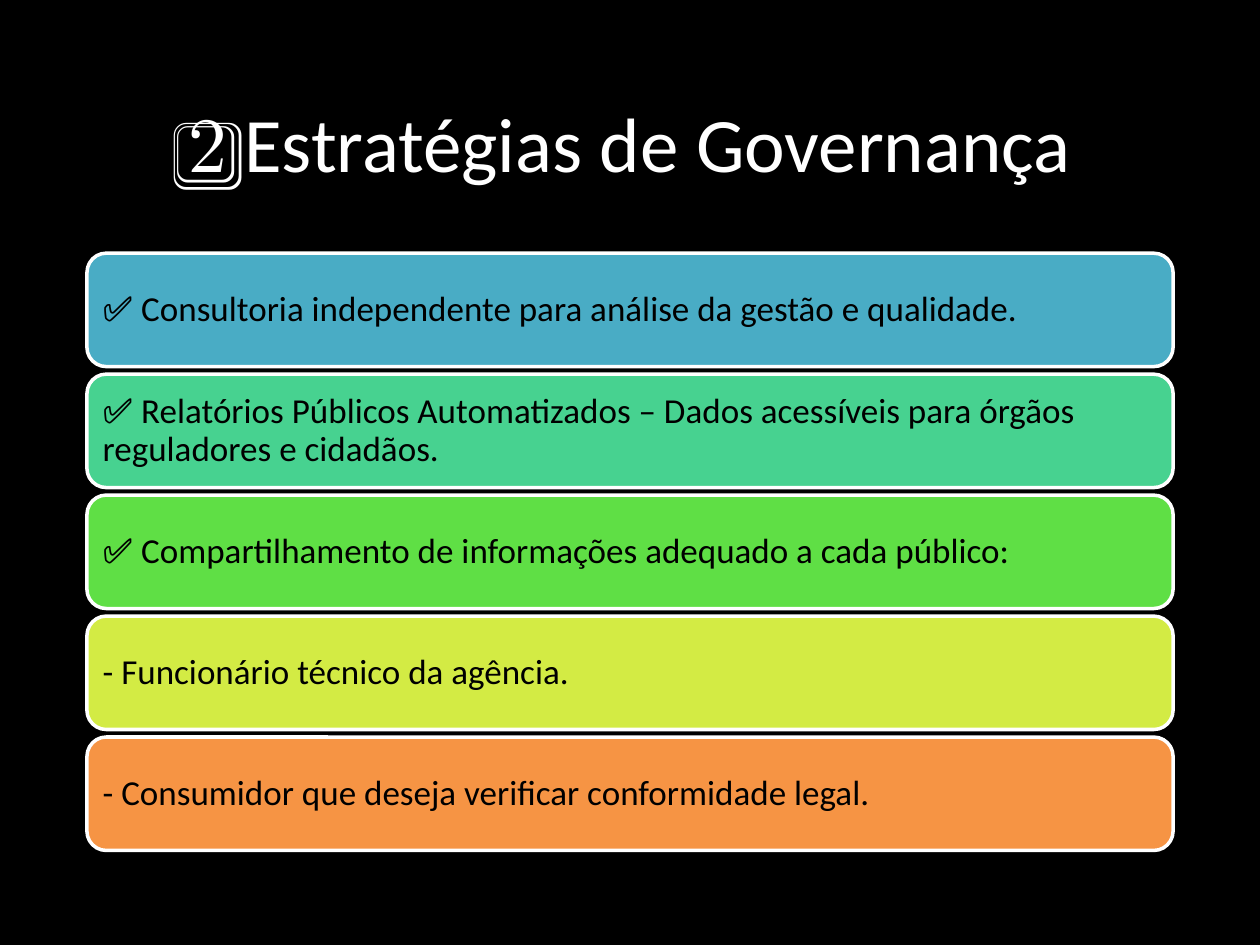
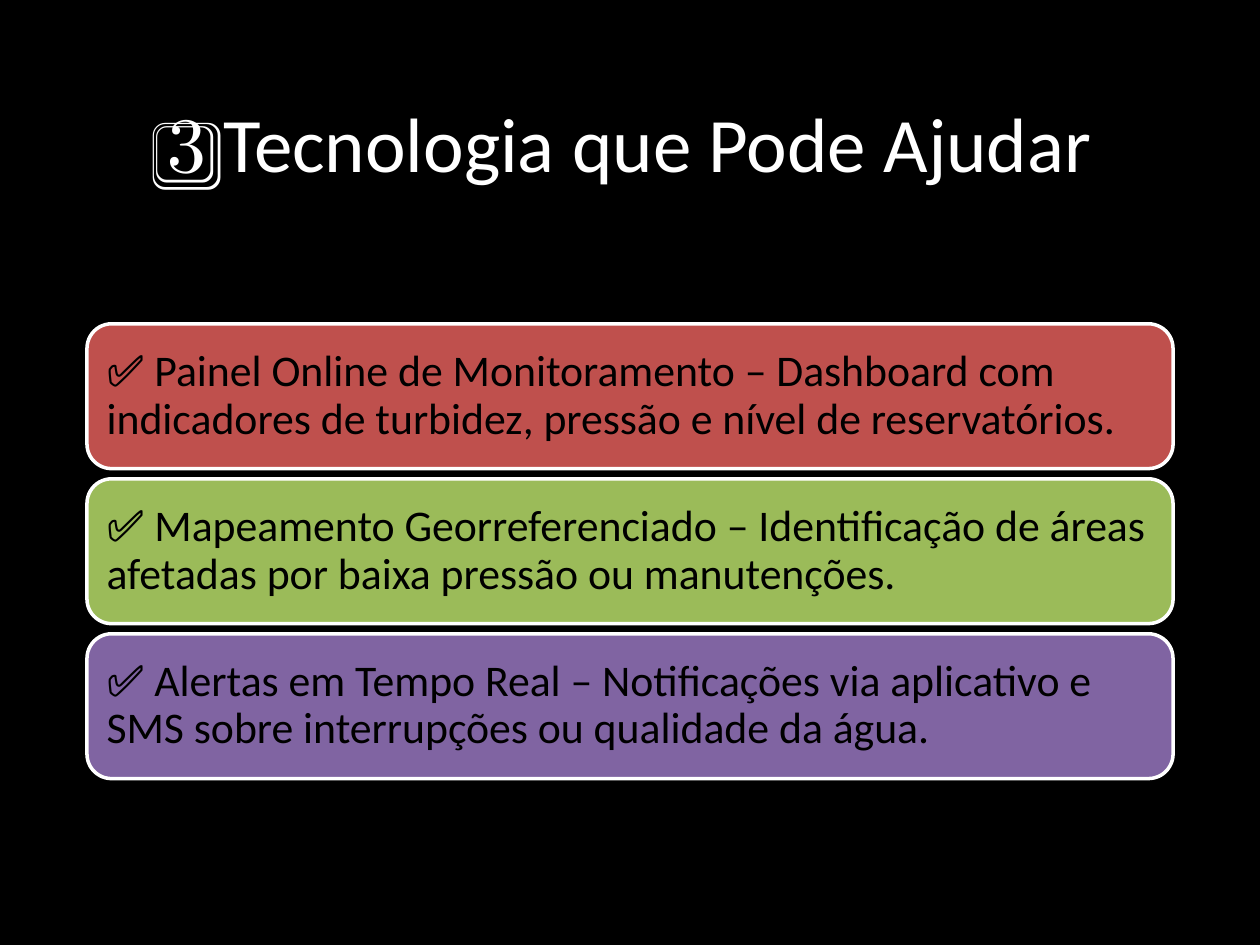
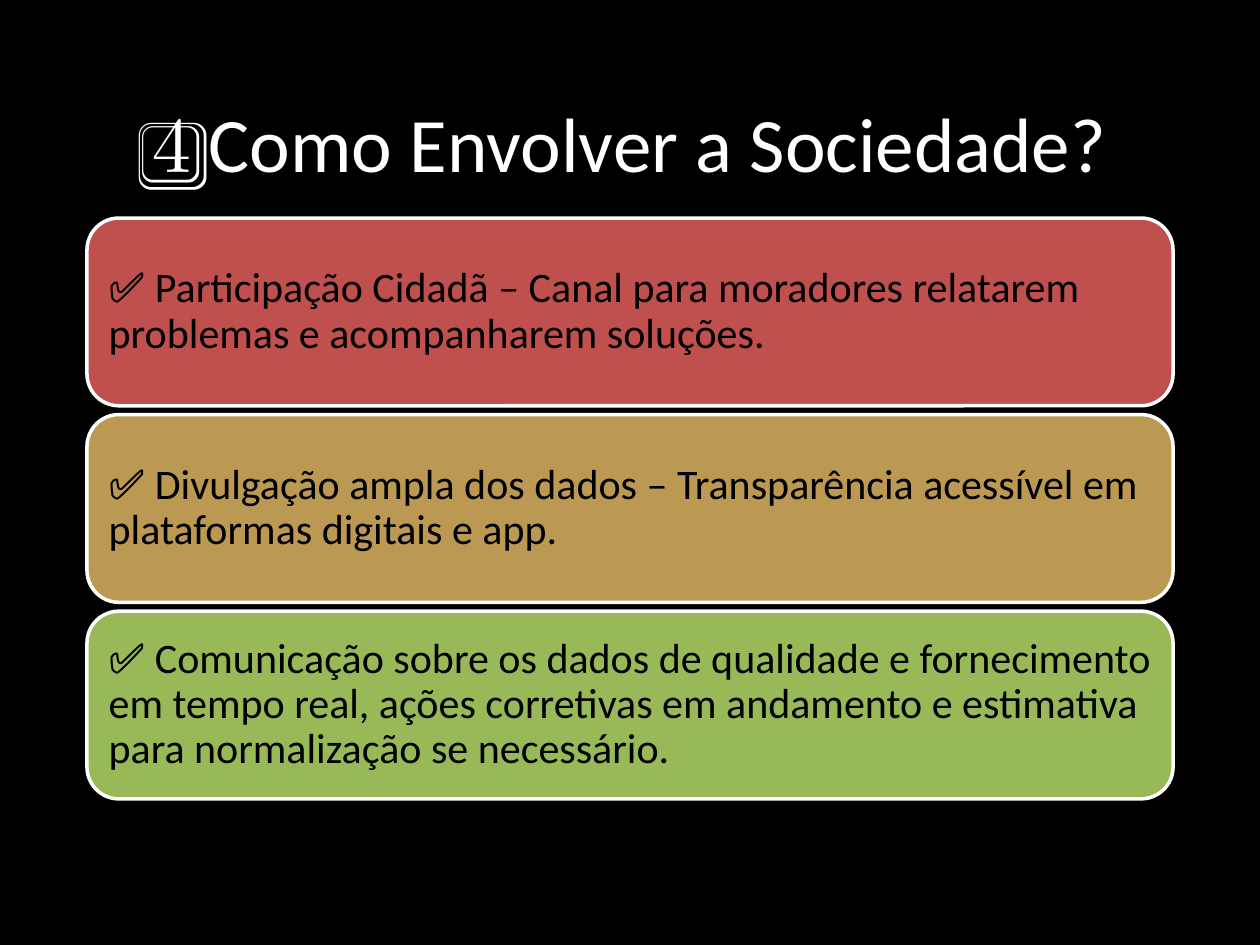
from dataclasses import dataclass

from pptx import Presentation
from pptx.dml.color import RGBColor
from pptx.enum.shapes import MSO_SHAPE
from pptx.enum.text import MSO_ANCHOR, MSO_AUTO_SIZE, PP_ALIGN
from pptx.util import Inches, Pt

WIDTH, HEIGHT = Inches(10), Inches(7.5)
BLACK, WHITE = "000000", "FFFFFF"
RED, GREEN, PURPLE = "BF504D", "9BBB59", "8064A2"
LEFT, SPAN = 6.9, 86.2
TITLE_TOP, TITLE_HEIGHT = 5.33, 19.33
CORNER = 0.17


@dataclass(frozen=True)
class Card:
    """A coloured band holding one statement."""
    text: str
    fill: str


@dataclass(frozen=True)
class Topic:
    """A slide whose stack lengths are percentages of the slide height."""
    title: str
    top: float
    height: float
    gap: float
    size: int
    inset: float
    cards: tuple[Card, ...]


TOPICS = (
    Topic("2️⃣ Estratégias de Governança", 26.8, 12, 0.8, 20, 0.08, (
        Card("✅ Consultoria independente para análise da gestão e qualidade.", "49ACC5"),
        Card("✅ Relatórios Públicos Automatizados – Dados acessíveis para órgãos "
             "reguladores e cidadãos.", "47D290"),
        Card("✅ Compartilhamento de informações adequado a cada público:", "5FDF45"),
        Card("- Funcionário técnico da agência.", "D3EB44"),
        Card("- Consumidor que deseja verificar conformidade legal.", "F69444"),
    )),
    Topic("3️⃣ Tecnologia que Pode Ajudar", 34.27, 15.33, 1.07, 25, 0.1, (
        Card("✅ Painel Online de Monitoramento – Dashboard com indicadores de "
             "turbidez, pressão e nível de reservatórios.", RED),
        Card("✅ Mapeamento Georreferenciado – Identificação de áreas afetadas por "
             "baixa pressão ou manutenções.", GREEN),
        Card("✅ Alertas em Tempo Real – Notificações via aplicativo e SMS sobre "
             "interrupções ou qualidade da água.", PURPLE),
    )),
    Topic("4️⃣ Como Envolver a Sociedade?", 23.07, 19.87, 0.93, 24, 0.1, (
        Card("✅ Participação Cidadã – Canal para moradores relatarem problemas e "
             "acompanharem soluções.", RED),
        Card("✅ Divulgação ampla dos dados – Transparência acessível em plataformas "
             "digitais e app.", "BB9952"),
        Card("✅ Comunicação sobre os dados de qualidade e fornecimento em tempo real, "
             "ações corretivas em andamento e estimativa para normalização se "
             "necessário.", "99B958"),
    )),
)


def paint(target, color: str) -> None:
    """Give a fill a solid colour."""
    target.solid()
    target.fore_color.rgb = RGBColor.from_string(color)


def apply(target, values: dict) -> None:
    """Set several attributes of an object."""
    for name, value in values.items():
        setattr(target, name, value)


def box(top: float, height: float) -> dict:
    """Return the place of a full-width band given in percentages."""
    return {"left": int(WIDTH * LEFT / 100), "top": int(HEIGHT * top / 100),
            "width": int(WIDTH * SPAN / 100), "height": int(HEIGHT * height / 100)}


def write(sp, text: str, size: int, color: str, paragraph: dict, frame: dict) -> None:
    """Write one formatted paragraph into a shape."""
    tf = sp.text_frame
    apply(tf, {"word_wrap": True, "auto_size": MSO_AUTO_SIZE.NONE,
               "vertical_anchor": MSO_ANCHOR.MIDDLE} | frame)
    p = tf.paragraphs[0]
    apply(p, paragraph)
    r = p.add_run()
    r.text = text
    apply(r.font, {"name": "Calibri", "size": Pt(size)})
    paint(r.font.fill, color)


def add_card(s, card: Card, topic: Topic, row: int) -> None:
    """Draw a card in its row of the stack."""
    place = box(topic.top + row * (topic.height + topic.gap), topic.height)
    sp = s.shapes.add_shape(MSO_SHAPE.ROUNDED_RECTANGLE, **place)
    sp.adjustments[0] = CORNER
    sp.shadow.inherit = False
    paint(sp.fill, card.fill)
    paint(sp.line.fill, WHITE)
    sp.line.width = Pt(2)
    margins = {f"margin_{side}": Inches(topic.inset)
               for side in ("left", "top", "right", "bottom")}
    write(sp, card.text, topic.size, BLACK,
          {"alignment": PP_ALIGN.LEFT, "line_spacing": 0.9}, margins)


def add_topic(prs, layout, topic: Topic) -> None:
    """Add a slide with its title and stack of cards."""
    s = prs.slides.add_slide(layout)
    write(s.shapes.title, topic.title, 44, WHITE, {"alignment": PP_ALIGN.CENTER}, {})
    for row, card in enumerate(topic.cards):
        add_card(s, card, topic, row)


def main() -> None:
    """Build and save the presentation."""
    prs = Presentation()
    apply(prs, {"slide_width": WIDTH, "slide_height": HEIGHT})
    paint(prs.slide_master.background.fill, BLACK)
    layout = prs.slide_layouts.get_by_name("Title Only")
    apply(layout.placeholders[0], box(TITLE_TOP, TITLE_HEIGHT))
    for topic in TOPICS:
        add_topic(prs, layout, topic)
    prs.save("out.pptx")


if __name__ == "__main__":
    main()
